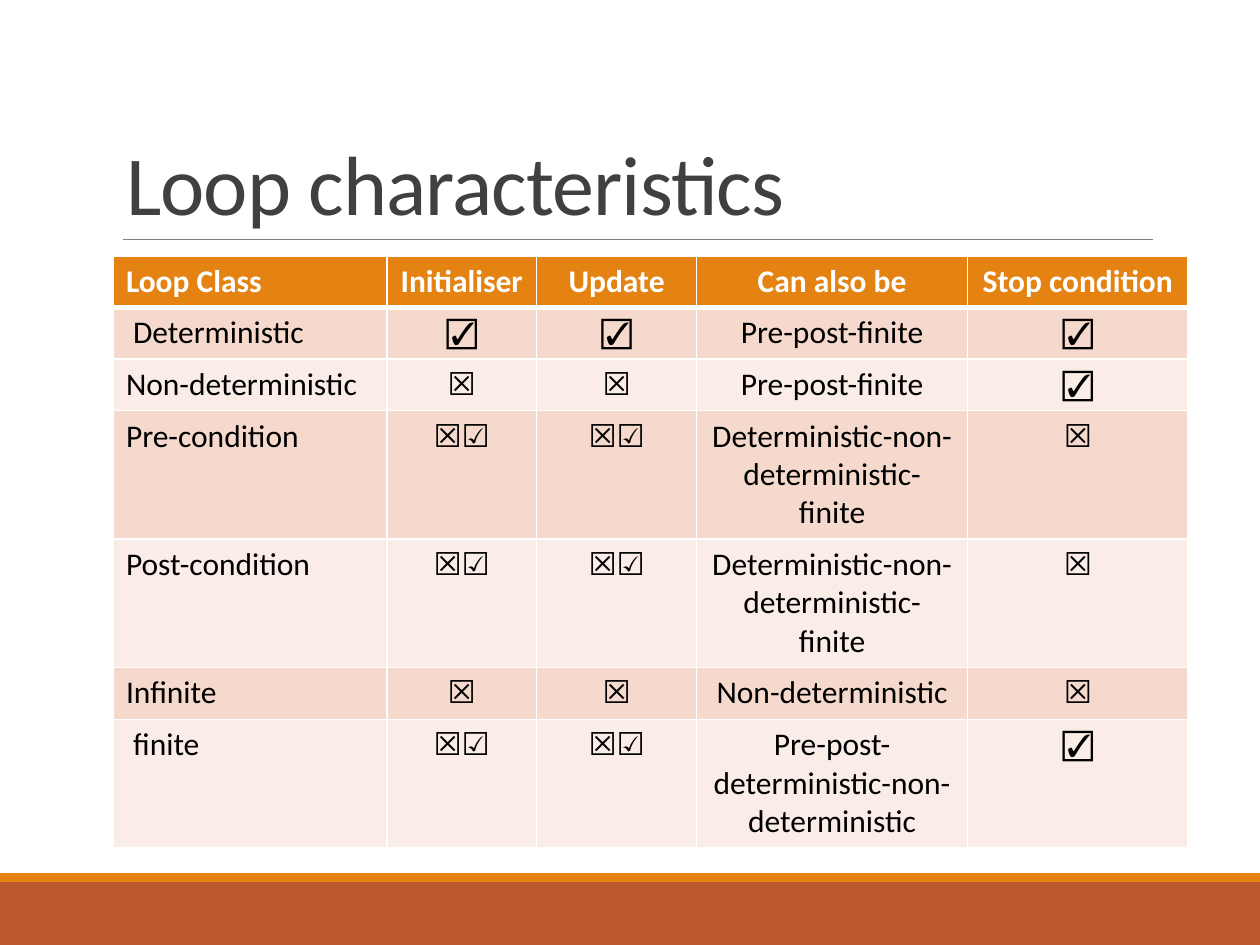
from lxml import etree
from pptx import Presentation, util as u
from pptx.dml.color import RGBColor
from pptx.enum import shapes, text
from pptx.oxml.ns import qn

TITLE = "Loop characteristics"
HEADER = ("Loop Class", "Initialiser", "Update", "Can also be", "Stop condition")
ROWS = [
    (" Deterministic", "☑", "☑", "Pre-post-finite", "☑"),
    ("Non-deterministic", "☒", "☒", "Pre-post-finite", "☑"),
    ("Pre-condition", "☒☑", "☒☑", "Deterministic-non-deterministic- finite", "☒"),
    ("Post-condition", "☒☑", "☒☑", "Deterministic-non-deterministic- finite", "☒"),
    ("Infinite", "☒", "☒", "Non-deterministic", "☒"),
    (" finite", "☒☑", "☒☑", "Pre-post-deterministic-non-deterministic", "☑"),
]
COLUMN_WIDTHS = (2.17, 1.19, 1.27, 2.15, 1.75)
ROW_HEIGHT, TALL_ROW_HEIGHT, LONG_TEXT = 0.41, 1.02, 20
FONT = "Calibri"
COLORS = {
    "footer": "BD582C", "accent": "E48312", "rule": "808080", "title": "404040",
    "white": "FFFFFF", "black": "000000", "odd": "F5D9CC", "even": "FAEDE7",
}
BANDS = [("footer", 7, 0.5), ("accent", 6.93, 0.07)]


def color(name):
    return RGBColor.from_string(COLORS[name])


def set_font(paragraph, size, color_name, bold=False):
    font = paragraph.font
    font.name, font.size, font.bold = FONT, u.Pt(size), bold
    font.color.rgb = color(color_name)


def add_band(slide, color_name, top, height):
    shape = slide.shapes.add_shape(
        shapes.MSO_SHAPE.RECTANGLE, 0, u.Inches(top), u.Inches(10), u.Inches(height))
    shape.shadow.inherit = False
    shape.fill.solid()
    shape.fill.fore_color.rgb = color(color_name)
    shape.line.fill.background()


def add_rule(slide):
    line = slide.shapes.add_connector(
        shapes.MSO_CONNECTOR.STRAIGHT,
        u.Inches(0.98), u.Inches(1.9), u.Inches(9.15), u.Inches(1.9))
    line.line.color.rgb = color("rule")
    line.line.width = u.Pt(0.5)
    etree.SubElement(line._element.spPr, qn("a:effectLst"))


def format_title(slide):
    title = slide.shapes.title
    title.left, title.top = u.Inches(0.9), u.Inches(0.31)
    title.width, title.height = u.Inches(8.25), u.Inches(1.59)
    frame = title.text_frame
    frame.text = TITLE
    frame.auto_size = text.MSO_AUTO_SIZE.NONE
    frame.vertical_anchor = text.MSO_ANCHOR.BOTTOM
    paragraph = frame.paragraphs[0]
    paragraph.alignment = text.PP_ALIGN.LEFT
    paragraph.line_spacing = 0.85
    set_font(paragraph, 48, "title")
    paragraph.runs[0]._r.get_or_add_rPr().set("spc", "-50")


def set_borders(cell, bottom_width):
    properties = cell._tc.get_or_add_tcPr()
    widths = {"lnL": 1, "lnR": 1, "lnT": 1, "lnB": bottom_width}
    for index, (side, width) in enumerate(widths.items()):
        border = etree.Element(qn(f"a:{side}"), w=str(u.Pt(width)))
        fill = etree.SubElement(border, qn("a:solidFill"))
        etree.SubElement(fill, qn("a:srgbClr"), val=COLORS["white"])
        properties.insert(index, border)


def format_cell(cell, value, row, column):
    header = row == 0
    cell.text = value
    paragraph = cell.text_frame.paragraphs[0]
    paragraph.alignment = text.PP_ALIGN.CENTER if column else text.PP_ALIGN.LEFT
    set_font(paragraph, 18, "white" if header else "black", header)
    cell.fill.solid()
    cell.fill.fore_color.rgb = color(
        "accent" if header else "odd" if row % 2 else "even")
    set_borders(cell, 3 if header else 1)


def add_loop_table(slide):
    content = [HEADER] + ROWS
    heights = [TALL_ROW_HEIGHT if len(values[3]) > LONG_TEXT else ROW_HEIGHT
               for values in content]
    table = slide.shapes.add_table(
        len(content), len(HEADER), u.Inches(0.9), u.Inches(2.03),
        u.Inches(sum(COLUMN_WIDTHS)), u.Inches(sum(heights))).table
    for column, width in zip(table.columns, COLUMN_WIDTHS):
        column.width = u.Inches(width)
    for row, (values, height) in enumerate(zip(content, heights)):
        table.rows[row].height = u.Inches(height)
        for column, value in enumerate(values):
            format_cell(table.cell(row, column), value, row, column)


def main():
    presentation = Presentation()
    presentation.slide_width, presentation.slide_height = u.Inches(10), u.Inches(7.5)
    slide = presentation.slides.add_slide(presentation.slide_layouts[5])
    for band in BANDS:
        add_band(slide, *band)
    add_rule(slide)
    format_title(slide)
    add_loop_table(slide)
    presentation.save("out.pptx")


if __name__ == "__main__":
    main()
